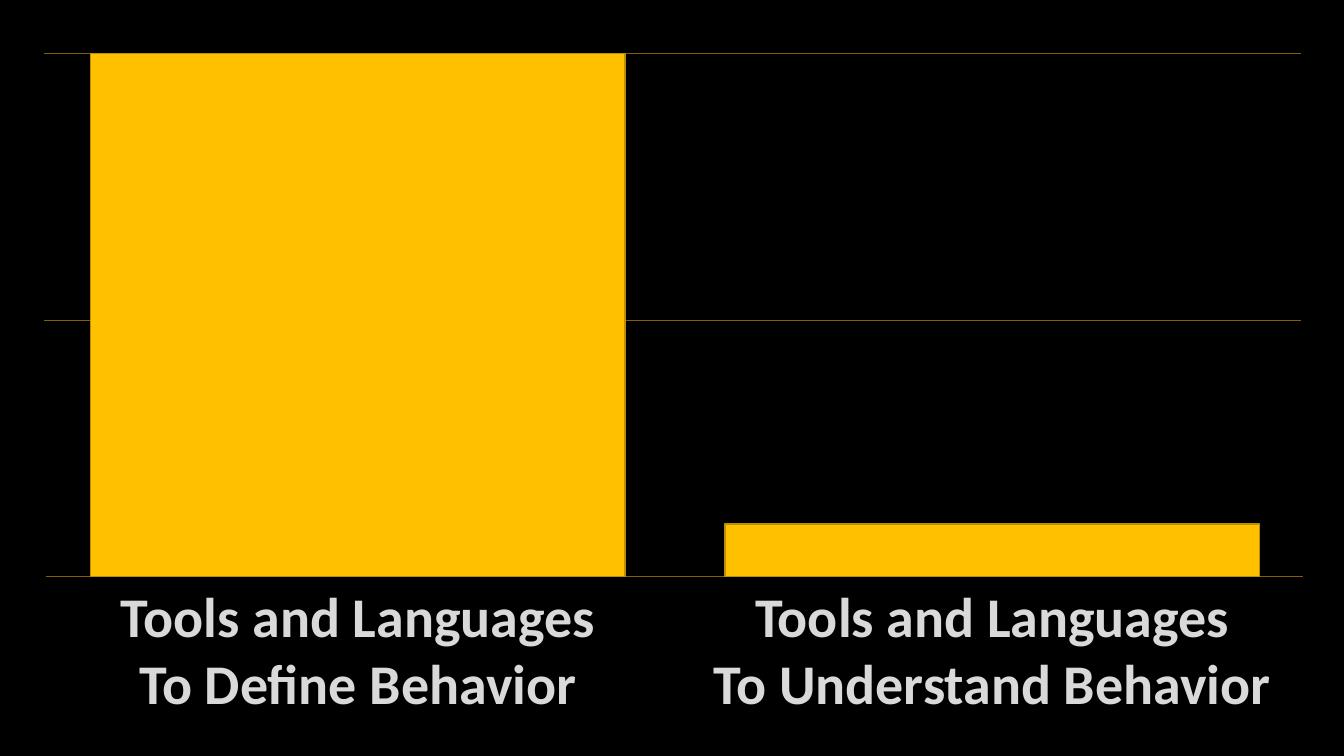
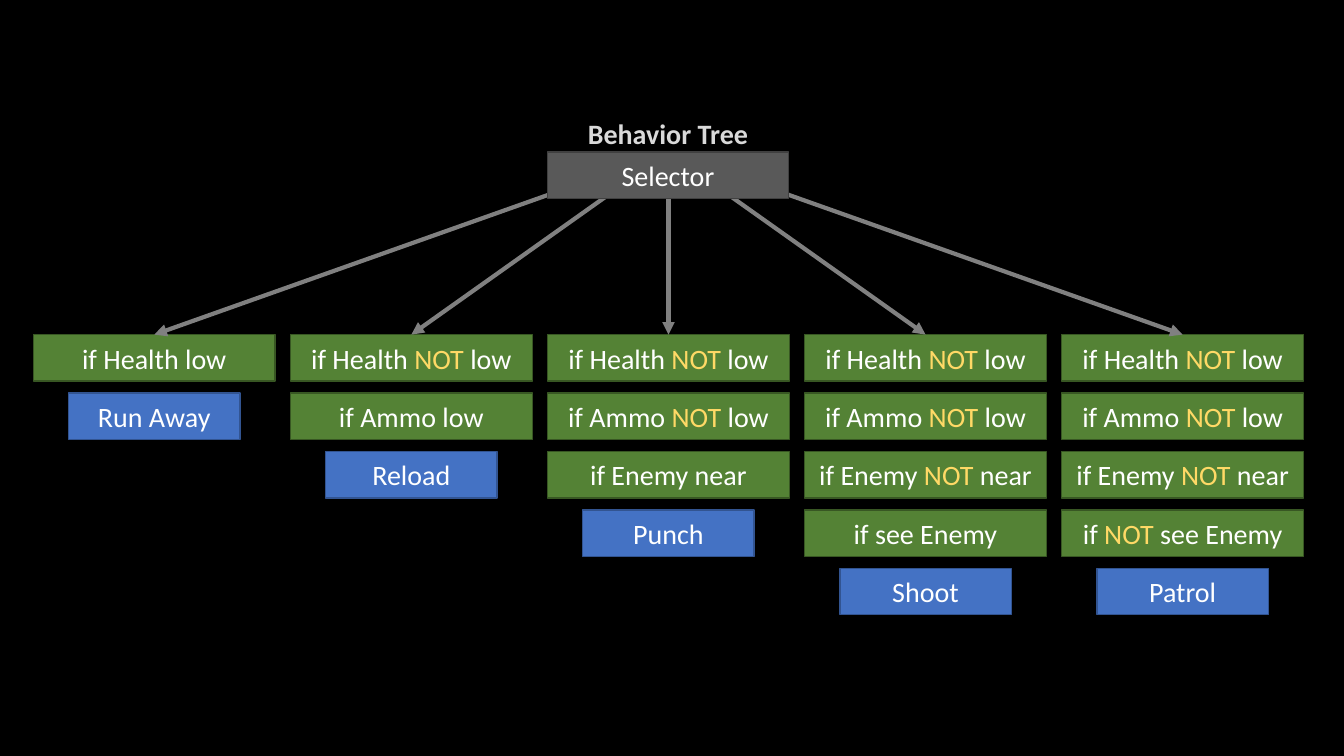
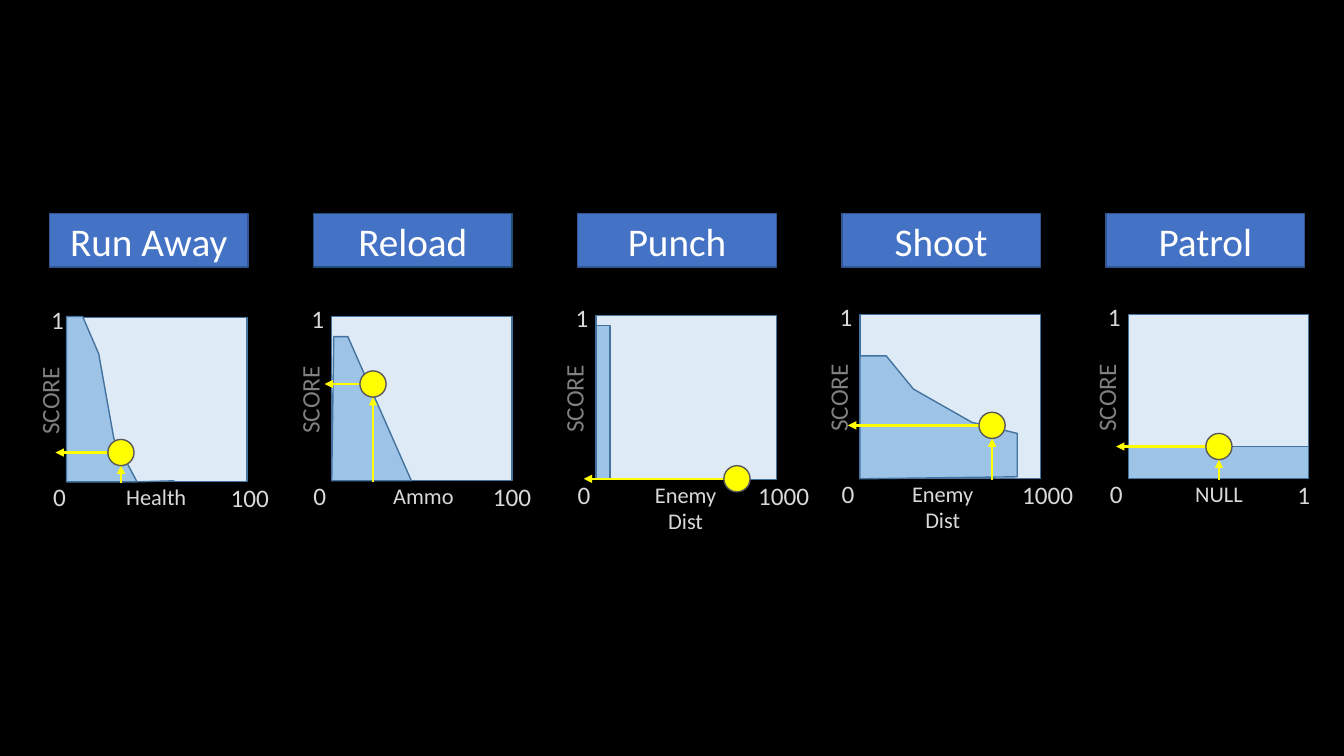
import dataclasses

import lxml.etree
import pptx
import pptx.dml.color
import pptx.enum.shapes
import pptx.enum.text
import pptx.oxml.ns
import pptx.util

Inches = pptx.util.Inches
RGBColor = pptx.dml.color.RGBColor
Align = pptx.enum.text.PP_ALIGN
Preset = pptx.enum.shapes.MSO_SHAPE

FONT = "Calibri"
BLACK = RGBColor(0x00, 0x00, 0x00)
WHITE = RGBColor(0xFF, 0xFF, 0xFF)
LIGHT_GRAY = RGBColor(0xD9, 0xD9, 0xD9)
GRAY = RGBColor(0x80, 0x80, 0x80)
DARK_GRAY = RGBColor(0x59, 0x59, 0x59)
CHARCOAL = RGBColor(0x40, 0x40, 0x40)
GOLD = RGBColor(0xFF, 0xC0, 0x00)
GOLD_EDGE = RGBColor(0xBD, 0x8E, 0x00)
GOLD_GRID = RGBColor(0x80, 0x60, 0x00)
PALE_GOLD = RGBColor(0xFF, 0xD9, 0x66)
GREEN = RGBColor(0x54, 0x82, 0x35)
GREEN_EDGE = RGBColor(0x38, 0x57, 0x23)
BLUE = RGBColor(0x44, 0x72, 0xC4)
BLUE_EDGE = RGBColor(0x32, 0x54, 0x91)
NAVY = RGBColor(0x1F, 0x4E, 0x79)
PLOT_FILL = RGBColor(0xDE, 0xEB, 0xF7)
AREA_FILL = RGBColor(0x9D, 0xC3, 0xE6)
PLOT_EDGE = RGBColor(0x43, 0x73, 0x9E)
YELLOW = RGBColor(0xFF, 0xFF, 0x00)

ACTIONS = ["Run Away", "Reload", "Punch", "Shoot", "Patrol"]
CONDITIONS = ["if Health low", "if Ammo low", "if Enemy near", "if see Enemy"]
NEGATIONS = ["if Health NOT low", "if Ammo NOT low", "if Enemy NOT near", "if NOT see Enemy"]


@dataclasses.dataclass
class Graph:
    left: float
    top: float
    label: str
    label_center: float
    maximum: str
    maximum_left: float
    marker: tuple
    arrow_end: float
    outline: tuple = ()
    closed: bool = True
    area_box: tuple = ()
    axis_gap: float = 0.28
    button_edge: RGBColor = BLUE_EDGE


GRAPHS = [
    Graph(0.66, 3.15, "Health", 1.55, "100", 2.19, (1.2, 4.49), 0.55,
          outline=((1.73, 4.77), (1.36, 4.78), (1.13, 4.35), (0.98, 3.51), (0.82, 3.14),
                   (0.66, 3.14), (0.66, 4.78), (1.36, 4.78)),
          closed=False, axis_gap=0.23),
    Graph(3.29, 3.14, "Ammo", 4.2, "100", 4.79, (3.7, 3.81), 3.22,
          outline=((4.08, 4.77), (3.45, 3.34), (3.31, 3.34), (3.29, 4.77)),
          button_edge=NAVY),
    Graph(5.91, 3.13, "Enemy Dist", 6.8, "1000", 7.42, (7.31, 4.75), 5.79,
          area_box=(5.91, 3.23, 0.14, 1.53)),
    Graph(8.53, 3.12, "Enemy Dist", 9.35, "1000", 10.04, (9.84, 4.22), 8.41,
          outline=((10.09, 4.73), (10.09, 4.3), (9.64, 4.19), (9.06, 3.86), (8.79, 3.53),
                   (8.53, 3.53), (8.53, 4.75))),
    Graph(11.19, 3.12, "NULL", 12.09, "1", 12.77, (12.09, 4.43), 11.07,
          area_box=(11.19, 4.43, 1.79, 0.32)),
]


def write_text(shape, text, *, size, color=WHITE, bold=False, align=Align.CENTER, wrap=True):
    frame = shape.text_frame
    frame.word_wrap = wrap
    for index, line in enumerate(text.split("\n")):
        paragraph = frame.add_paragraph() if index else frame.paragraphs[0]
        paragraph.alignment = align
        for part in filter(None, line.partition("NOT")):
            run = paragraph.add_run()
            run.text = part
            run.font.name = FONT
            run.font.size = pptx.util.Pt(size)
            run.font.bold = bold
            run.font.color.rgb = PALE_GOLD if part == "NOT" else color


class Deck:
    def __init__(self):
        self.presentation = pptx.Presentation()
        self.presentation.slide_width = Inches(13.33)
        self.presentation.slide_height = Inches(7.5)
        self.slide = None

    def new_slide(self):
        self.slide = self.presentation.slides.add_slide(self.presentation.slide_layouts[6])
        fill = self.slide.background.fill
        fill.solid()
        fill.fore_color.rgb = BLACK

    def paint(self, shape, fill, edge):
        shape.shadow.inherit = False
        shape.fill.solid()
        shape.fill.fore_color.rgb = fill
        shape.line.color.rgb = edge
        shape.line.width = pptx.util.Pt(1)
        return shape

    def box(self, left, top, width, height, fill, edge, text="", size=20, preset=Preset.RECTANGLE):
        shape = self.slide.shapes.add_shape(
            preset, Inches(left), Inches(top), Inches(width), Inches(height))
        if text:
            shape.text_frame.vertical_anchor = pptx.enum.text.MSO_ANCHOR.MIDDLE
            write_text(shape, text, size=size)
        return self.paint(shape, fill, edge)

    def area(self, points, closed):
        corners = [(Inches(x), Inches(y)) for x, y in points]
        builder = self.slide.shapes.build_freeform(*corners[0])
        builder.add_line_segments(corners[1:], close=closed)
        return self.paint(builder.convert_to_shape(), AREA_FILL, PLOT_EDGE)

    def label(self, text, left, top, width, height, rotation=0, wrap=False, **style):
        shape = self.slide.shapes.add_textbox(
            Inches(left), Inches(top), Inches(width), Inches(height))
        shape.rotation = rotation
        write_text(shape, text, wrap=wrap, **style)
        shape.text_frame.auto_size = pptx.enum.text.MSO_AUTO_SIZE.SHAPE_TO_FIT_TEXT

    def line(self, start, end, color, width, arrow=False):
        connector = self.slide.shapes.add_connector(
            pptx.enum.shapes.MSO_CONNECTOR.STRAIGHT, *map(Inches, start + end))
        connector.line.color.rgb = color
        connector.line.width = pptx.util.Pt(width)
        properties = connector._element.spPr
        if arrow:
            outline = properties.find(pptx.oxml.ns.qn("a:ln"))
            lxml.etree.SubElement(outline, pptx.oxml.ns.qn("a:tailEnd"), type="triangle")
        lxml.etree.SubElement(properties, pptx.oxml.ns.qn("a:effectLst"))

    def graph(self, graph):
        left, top = graph.left, graph.top
        self.box(left, top, 1.79, 1.63, PLOT_FILL, PLOT_EDGE)
        if graph.outline:
            self.area(graph.outline, graph.closed)
        else:
            self.box(*graph.area_box, AREA_FILL, PLOT_EDGE)

        axis_left = left - graph.axis_gap
        tick = {"size": 18, "color": LIGHT_GRAY, "align": Align.LEFT}
        self.label("0", axis_left, top + 1.58, 0.33, 0.4, **tick)
        self.label("1", axis_left - 0.02, top - 0.18, 0.33, 0.4, **tick)
        maximum_width = 0.21 + 0.125 * len(graph.maximum)
        self.label(graph.maximum, graph.maximum_left, top + 1.59, maximum_width, 0.4, **tick)
        self.label("SCORE", axis_left - 0.38, top + 0.62, 0.88, 0.4, rotation=270,
                   size=18, color=GRAY, align=Align.LEFT)
        self.label(graph.label, graph.label_center - 0.6, top + 1.59, 1.2, 0.37,
                   size=16, color=LIGHT_GRAY)

        x, y = graph.marker
        radius = 0.13
        base = top + 1.64
        if y + radius < base:
            self.line((x, base), (x, y + radius), YELLOW, 1.75, arrow=True)
        self.line((x - radius, y), (graph.arrow_end, y), YELLOW, 1.75, arrow=True)
        self.box(x - radius, y - radius, 2 * radius, 2 * radius, YELLOW, DARK_GRAY,
                 preset=Preset.OVAL)


def build_tools_slide(deck):
    deck.new_slide()
    base = 5.72
    for left, y in [(0.44, 0.53), (0.44, 3.18), (0.46, base)]:
        deck.line((left, y), (left + 12.46, y), GOLD_GRID, 0.5)
    bars = [
        (0.9, 5.19, "Tools and Languages\nTo Define Behavior", 5.01),
        (7.19, 0.52, "Tools and Languages\nTo Understand Behavior", 5.79),
    ]
    for left, height, text, text_width in bars:
        center = left + 5.3 / 2
        deck.label(text, center - text_width / 2, base, text_width, 1.45,
                   size=40, color=LIGHT_GRAY, bold=True)
        deck.box(left, base - height, 5.3, height, GOLD, GOLD_EDGE)


def build_tree_slide(deck):
    deck.new_slide()
    first_top, row_step, height = 3.32, 0.58, 0.46
    for column, action in enumerate(ACTIONS):
        left = 0.33 + 2.55 * column
        tests = NEGATIONS[:column] + CONDITIONS[column:column + 1]
        for row, test in enumerate(tests):
            deck.box(left, first_top + row_step * row, 2.4, height, GREEN, GREEN_EDGE, test)
        deck.box(left + 0.35, first_top + row_step * len(tests), 1.7, height,
                 BLUE, BLUE_EDGE, action)
        deck.line((6.63, 1.51), (left + 1.2, first_top), GRAY, 3, arrow=True)
    deck.box(5.43, 1.44, 2.39, 0.27, BLACK, BLACK)
    deck.box(5.43, 1.51, 2.39, height, DARK_GRAY, CHARCOAL, "Selector")
    deck.label("Behavior Tree", 4.78, 1.11, 3.69, 0.44, wrap=True,
               size=20, color=LIGHT_GRAY, bold=True)


def build_score_slide(deck):
    deck.new_slide()
    for column, (action, graph) in enumerate(zip(ACTIONS, GRAPHS)):
        deck.box(0.49 + 2.62 * column, 2.12, 1.97, 0.53, BLUE, graph.button_edge, action, size=28)
        deck.graph(graph)


def main():
    deck = Deck()
    build_tools_slide(deck)
    build_tree_slide(deck)
    build_score_slide(deck)
    deck.presentation.save("out.pptx")


if __name__ == "__main__":
    main()
